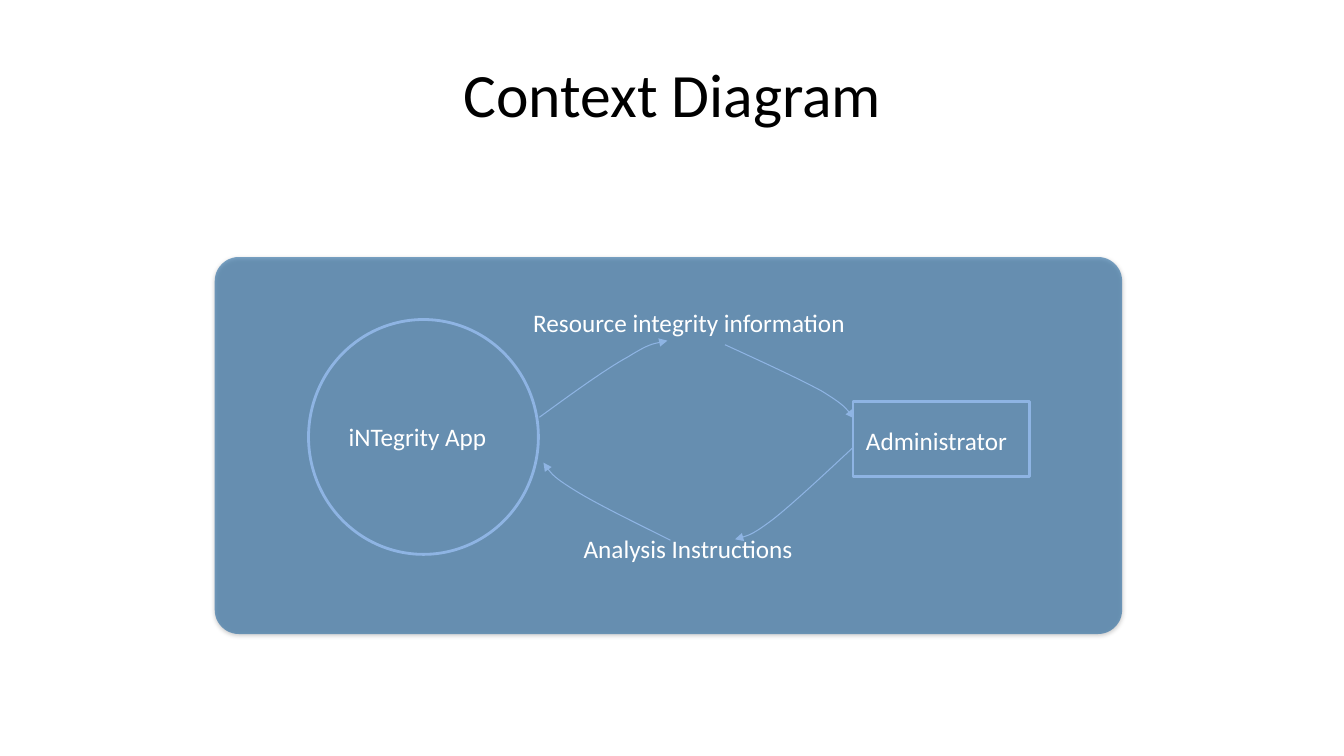
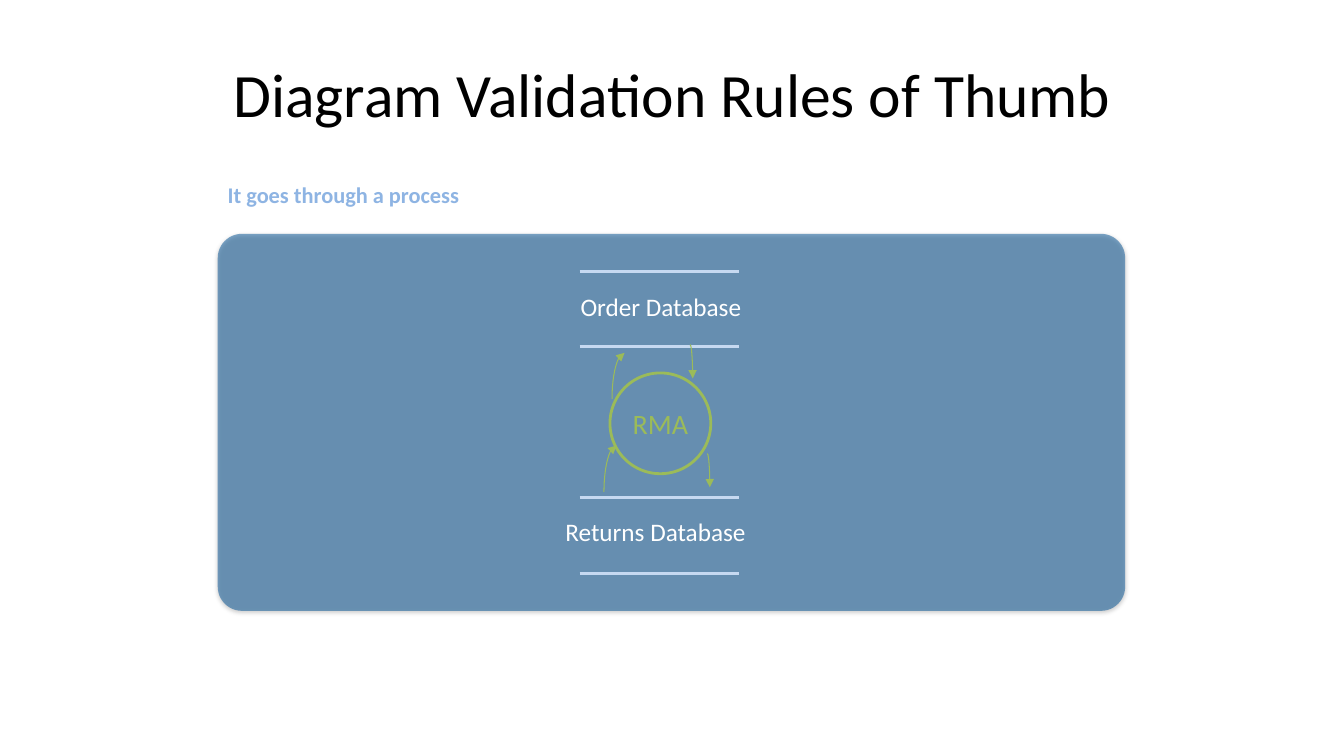
"""Builds two slides of data flow diagrams on a shared blue panel."""
import itertools

import lxml.etree
import pptx
import pptx.dml.color
import pptx.enum.shapes
import pptx.enum.text
import pptx.oxml.ns
import pptx.util

PX = 9144
FONT = "Calibri"
BLACK = pptx.dml.color.RGBColor(0x00, 0x00, 0x00)
WHITE = pptx.dml.color.RGBColor(0xFF, 0xFF, 0xFF)
PANEL_BLUE = pptx.dml.color.RGBColor(0x00, 0x51, 0x94)
SKY = pptx.dml.color.RGBColor(0x8E, 0xB4, 0xE3)
PALE = pptx.dml.color.RGBColor(0xC6, 0xD9, 0xF1)
GREEN = pptx.dml.color.RGBColor(0x9B, 0xBB, 0x59)
SHAPE = pptx.enum.shapes.MSO_SHAPE
ALIGN = pptx.enum.text.PP_ALIGN
ANCHOR = pptx.enum.text.MSO_ANCHOR


def px(*lengths):
    return [pptx.util.Emu(length * PX) for length in lengths]


def add_child(parent, tag, **attributes):
    child = lxml.etree.SubElement(parent, pptx.oxml.ns.qn(tag))
    for name, value in attributes.items():
        child.set(name, value)
    return child


def add_run(paragraph, text, size, color, bold=False):
    run = paragraph.add_run()
    run.text = text
    run.font.name = FONT
    run.font.size = pptx.util.Pt(size)
    run.font.bold = bold
    run.font.color.rgb = color


def add_text(slide, box, text, size=18, color=WHITE, align=ALIGN.LEFT,
             anchor=ANCHOR.TOP, bold=False, wrap=False):
    frame = slide.shapes.add_textbox(*px(*box)).text_frame
    frame.word_wrap = wrap
    frame.vertical_anchor = anchor
    paragraph = frame.paragraphs[0]
    paragraph.alignment = align
    add_run(paragraph, text, size, color, bold)


def add_title(slide, text):
    add_text(slide, (67, 30, 1200, 125), text, 44, BLACK, ALIGN.CENTER,
             ANCHOR.MIDDLE, wrap=True)


def style_outline(shape, color, width):
    shape.shadow.inherit = False
    shape.fill.background()
    shape.line.color.rgb = color
    shape.line.width = pptx.util.Pt(width)


def add_outline(slide, kind, box, color, width=2):
    shape = slide.shapes.add_shape(kind, *px(*box))
    style_outline(shape, color, width)
    return shape


def add_arrowhead(shape, tag):
    add_child(shape.line._get_or_add_ln(), tag, type="triangle")


def add_panel(slide, left, top):
    panel = slide.shapes.add_shape(SHAPE.ROUNDED_RECTANGLE, *px(left, top, 900, 374))
    panel.adjustments[0] = 0.064
    panel.fill.solid()
    panel.fill.fore_color.rgb = PANEL_BLUE
    panel.line.fill.background()
    panel.shadow.inherit = False
    fill_color = panel._element.xpath("./p:spPr/a:solidFill/a:srgbClr")[0]
    add_child(fill_color, "a:alpha", val="50000")
    effects = panel._element.xpath("./p:spPr/a:effectLst")[0]
    shadow = add_child(effects, "a:outerShdw", blurRad="40000", dist="20000",
                       dir="5400000", rotWithShape="0")
    add_child(add_child(shadow, "a:srgbClr", val="000000"), "a:alpha", val="38000")


def add_curved_arrow(slide, left, top, points):
    """Draw a chain of cubic curves; each three points after the first make one."""
    start, *controls = [(left + x, top + y) for x, y in points]
    builder = slide.shapes.build_freeform(*start, scale=PX)
    builder.add_line_segments(controls, close=False)
    arrow = builder.convert_to_shape()
    segments = arrow._element.xpath(".//a:lnTo")
    for first in range(0, len(segments), 3):
        curve = segments[first]
        curve.tag = pptx.oxml.ns.qn("a:cubicBezTo")
        for segment in segments[first + 1:first + 3]:
            curve.append(segment[0])
            segment.getparent().remove(segment)
    style_outline(arrow, SKY, 0.75)
    add_arrowhead(arrow, "a:tailEnd")


def add_arc_arrow(slide, box, rising):
    arc = add_outline(slide, SHAPE.ARC, box, GREEN, 0.75)
    if rising:
        arc._element.xpath(".//a:xfrm")[0].set("flipH", "1")
    add_arrowhead(arc, "a:headEnd" if rising else "a:tailEnd")


def add_rule(slide, left, top, width):
    ends = px(left, top, left + width, top)
    rule = slide.shapes.add_connector(pptx.enum.shapes.MSO_CONNECTOR.STRAIGHT, *ends)
    rule.line.color.rgb = PALE
    rule.line.width = pptx.util.Pt(2.25)
    add_child(rule._element.spPr, "a:effectLst")


def draw_context(slide, left, top):
    """Draw the app and the administrator with the flows between them."""
    add_panel(slide, left, top)
    add_outline(slide, SHAPE.OVAL, (left + 93, top + 62, 228, 233), SKY)
    add_outline(slide, SHAPE.RECTANGLE, (left + 633, top + 143, 175, 75), SKY)
    labels = [
        ("iNTegrity App", 123, 158, 158),
        ("Resource integrity information", 306, 45, 333),
        ("Analysis Instructions", 356, 269, 229),
        ("Administrator", 636, 162, 161),
    ]
    for text, x, y, width in labels:
        add_text(slide, (left + x, top + y, width, 40), text)
    flows = [
        [(322, 159), (355, 135), (388, 111), (410, 99), (431, 86), (440, 85), (449, 83)],
        [(506, 87), (543, 104), (580, 121), (602, 133), (623, 146), (629, 153), (634, 160)],
        [(633, 189), (603, 217), (573, 245), (554, 260), (534, 275), (525, 278), (516, 280)],
        [(452, 281), (416, 263), (379, 245), (358, 232), (337, 219), (331, 212), (326, 204)],
    ]
    for points in flows:
        add_curved_arrow(slide, left, top, points)


def draw_process(slide, left, top):
    """Draw two data stores that exchange data through one process."""
    add_panel(slide, left, top)
    for store_top, offset in itertools.product((37, 262), (0, 75)):
        add_rule(slide, left + 359, top + store_top + offset, 158)
    add_text(slide, (left + 349, top + 52, 181, 40), "Order Database", align=ALIGN.CENTER)
    add_text(slide, (left + 335, top + 275, 230, 40), "Returns Database", wrap=True)
    for x, y in ((466, 110), (483, 218)):
        add_arc_arrow(slide, (left + x, top + y, 5, 67), rising=False)
    for x, y in ((391, 118), (383, 210)):
        add_arc_arrow(slide, (left + x, top + y, 25, 92), rising=True)
    process = add_outline(slide, SHAPE.OVAL, (left + 389, top + 138, 100, 100), GREEN)
    process.text_frame.word_wrap = False
    process.text_frame.vertical_anchor = ANCHOR.MIDDLE
    paragraph = process.text_frame.paragraphs[0]
    paragraph.alignment = ALIGN.CENTER
    add_run(paragraph, "RMA", 20, GREEN)


def build_context_slide(slide):
    add_title(slide, "Context Diagram")
    draw_context(slide, 213, 255)


def build_rules_slide(slide):
    add_title(slide, "Diagram Validation Rules of Thumb")
    add_text(slide, (216, 175, 900, 50), "It goes through a process", 16, SKY,
             bold=True, wrap=True)
    draw_process(slide, 216, 232)


def main():
    presentation = pptx.Presentation()
    presentation.slide_width, presentation.slide_height = px(1333, 750)
    for build in (build_context_slide, build_rules_slide):
        build(presentation.slides.add_slide(presentation.slide_layouts[6]))
    presentation.save("out.pptx")


if __name__ == "__main__":
    main()
